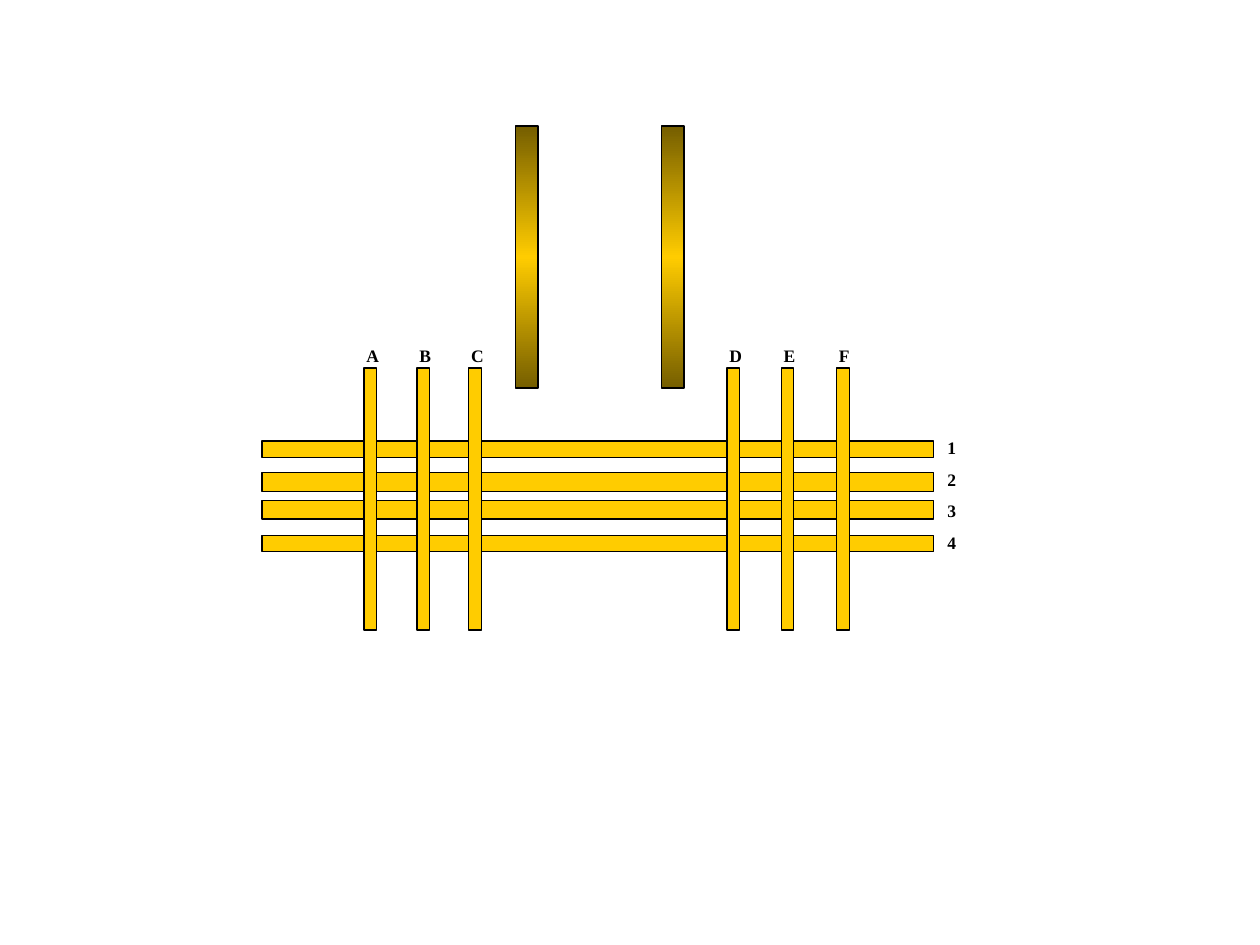
from copy import deepcopy
from dataclasses import dataclass

from pptx import Presentation
from pptx.dml.color import RGBColor
from pptx.enum.shapes import MSO_SHAPE
from pptx.enum.text import MSO_AUTO_SIZE
from pptx.util import Inches, Pt

RECT = MSO_SHAPE.RECTANGLE
GROW = MSO_AUTO_SIZE.SHAPE_TO_FIT_TEXT


@dataclass(frozen=True)
class Theme:
    """Colours, type and line sizes of the slide."""
    gold: RGBColor = RGBColor(0xFF, 0xCC, 0x00)
    dark: RGBColor = RGBColor(0x75, 0x5E, 0x00)
    ink: RGBColor = RGBColor(0, 0, 0)
    font: str = "Times New Roman"
    size: float = 10
    line: float = 0.75


THEME = Theme()
LABEL = {"name": THEME.font, "size": Pt(THEME.size), "bold": True}
FRAME = {"word_wrap": False, "auto_size": GROW}

ROWS = [("1", 3.5, 0.13), ("2", 3.75, 0.15), ("3", 3.97, 0.15), ("4", 4.25, 0.13)]
COLUMNS = [("A", 2.94), ("B", 3.36), ("C", 3.77),
           ("D", 5.82), ("E", 6.25), ("F", 6.69)]
POSTS = [4.18, 5.34]
LENGTH = 2.08


def assign(item, values):
    """Set each named attribute of an item."""
    for name, value in values.items():
        setattr(item, name, value)


def add_bar(slide, left, top, width, height, turn=0):
    """Add a gold bar with a thin outline."""
    bar = slide.shapes.add_shape(RECT, *map(Inches, (left, top, width, height)))
    bar.rotation = turn
    bar.shadow.inherit = False
    bar.fill.solid()
    bar.fill.fore_color.rgb = THEME.gold
    bar.line.color.rgb = THEME.ink
    bar.line.width = Pt(THEME.line)
    return bar


def add_upright(slide, centre, middle, thick):
    """Add a bar turned upright about its centre."""
    return add_bar(slide, centre - LENGTH / 2, middle - thick / 2,
                   LENGTH, thick, 270)


def shade(bar):
    """Fade a bar from gold at its middle to dark at both ends."""
    bar.fill.gradient()
    bar.fill.gradient_angle = 0
    stops = bar._element.spPr.find(".//{*}gsLst")
    stops.append(deepcopy(stops[0]))
    colours = (THEME.dark, THEME.gold, THEME.dark)
    for index, (stop, colour) in enumerate(zip(bar.fill.gradient_stops, colours)):
        stop.position = index / 2
        stop.color.rgb = colour


def add_label(slide, text, left, top):
    """Add a bold one-letter label."""
    box = slide.shapes.add_textbox(*map(Inches, (left, top, 0.29, 0.27)))
    assign(box.text_frame, FRAME)
    run = box.text_frame.paragraphs[0].add_run()
    run.text = text
    assign(run.font, LABEL)
    run.font.color.rgb = THEME.ink


def main():
    """Build the slide and save it."""
    deck = Presentation()
    assign(deck, {"slide_width": Inches(10), "slide_height": Inches(7.5)})
    slide = deck.slides.add_slide(deck.slide_layouts[6])
    for index, (text, top, height) in enumerate(ROWS):
        add_bar(slide, 2.08, top, 5.33, height)
        add_label(slide, text, 7.42, 3.42 + 0.25 * index)
    for centre in POSTS:
        shade(add_upright(slide, centre, 2.04, 0.18))
    for text, centre in COLUMNS:
        add_label(slide, text, centre - 0.13, 2.69)
        add_upright(slide, centre, 3.96, 0.1)
    deck.save("out.pptx")


if __name__ == "__main__":
    main()
